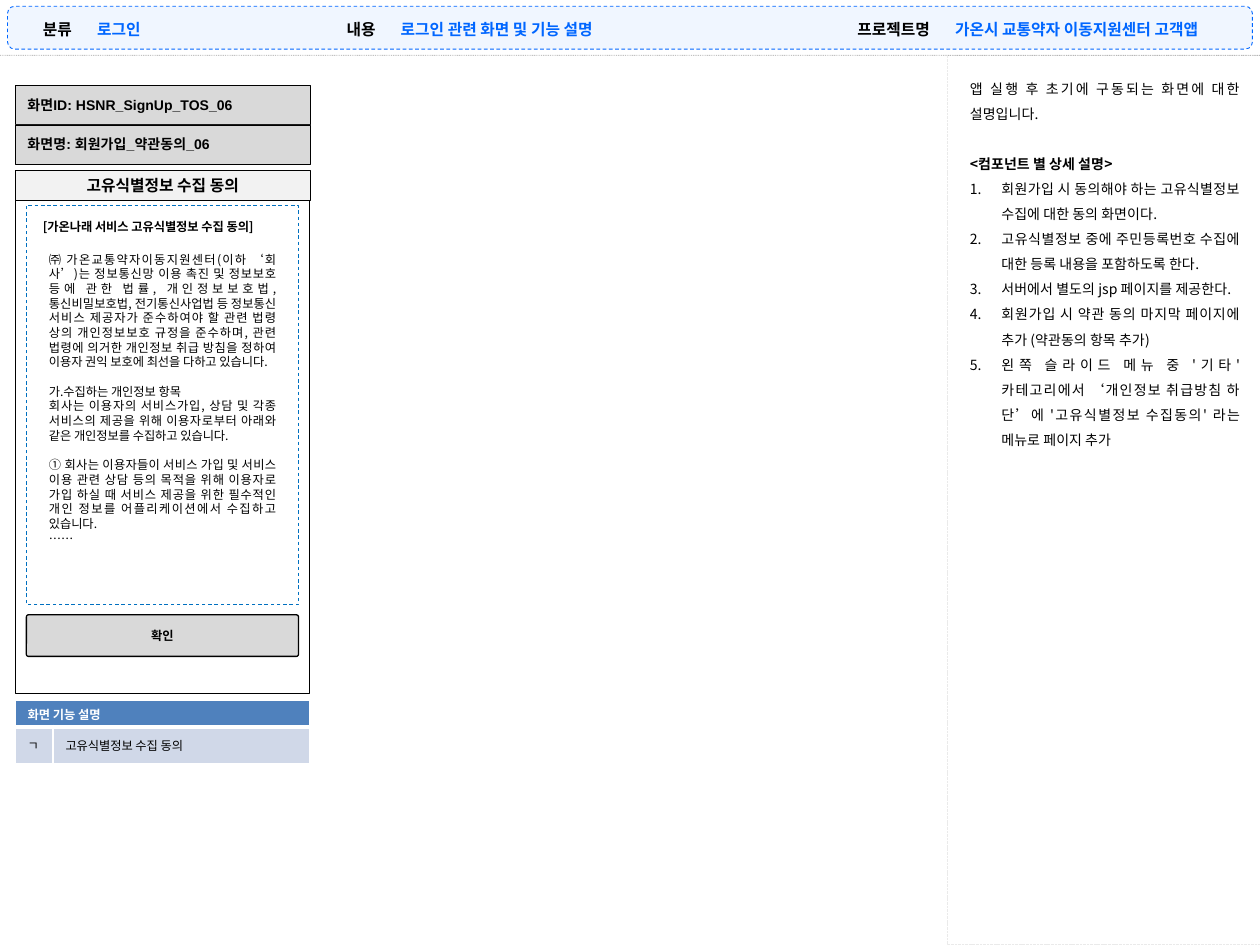
from dataclasses import dataclass

from lxml import etree
from pptx import Presentation
from pptx import util as u
from pptx.dml.color import RGBColor
from pptx.enum import dml, shapes, text
from pptx.oxml.ns import qn

Inches, Pt = u.Inches, u.Pt
LEFT, CENTER, RIGHT, JUSTIFY = (text.PP_ALIGN.LEFT, text.PP_ALIGN.CENTER,
                                text.PP_ALIGN.RIGHT, text.PP_ALIGN.JUSTIFY)
RECT, ROUND = shapes.MSO_SHAPE.RECTANGLE, shapes.MSO_SHAPE.ROUNDED_RECTANGLE
DASH, DOTS = dml.MSO_LINE.DASH, dml.MSO_LINE.SQUARE_DOT
FINE_DOTS = dml.MSO_LINE.ROUND_DOT
NO_STYLE = "{2D5ABB26-0587-4C30-8999-92F81FD0307C}"


@dataclass(frozen=True)
class Theme:
    font: str = "Noto Sans CJK KR"
    latin: str = "Arial"
    black: str = "000000"
    white: str = "FFFFFF"
    accent: str = "0066FF"
    rule: str = "808080"
    frame: str = "EAEAEA"
    panel: str = "D9D9D9"
    title_bar: str = "F2F2F2"
    terms: str = "0070C0"
    table_head: str = "4F81BD"
    table_body: str = "D0D8E8"
    heading: int = 9
    body: int = 8
    small: int = 7
    body_pitch: float = 14.35
    small_pitch: float = 8.4


THEME = Theme()
SUMMARY = [  # left, column widths, label, value
    (0.12, (0.55, 1.65), "분류", "로그인"),
    (2.43, (0.65, 3.57), "내용", "로그인 관련 화면 및 기능 설명"),
    (6.65, (0.83, 2.48), "프로젝트명", "가온시 교통약자 이동지원센터 고객앱"),
]
NOTES_INTRO = "앱 실행 후 초기에 구동되는 화면에 대한 설명입니다."
NOTES_HEADING = "<컴포넌트 별 상세 설명>"
NOTES = [
    "회원가입 시 동의해야 하는 고유식별정보 수집에 대한 동의 화면이다.",
    "고유식별정보 중에 주민등록번호 수집에 대한 등록 내용을 포함하도록 한다.",
    "서버에서 별도의 jsp 페이지를 제공한다.",
    "회원가입 시 약관 동의 마지막 페이지에 추가 (약관동의 항목 추가)",
    "왼쪽 슬라이드 메뉴 중 '기타' 카테고리에서 ‘개인정보 취급방침 하단’에 "
    "'고유식별정보 수집동의' 라는 메뉴로 페이지 추가",
]
TERMS = [
    "㈜ 가온교통약자이동지원센터(이하 ‘회사’)는 정보통신망 이용 촉진 및 정보보호 등에 관한 법률, "
    "개인정보보호법, 통신비밀보호법, 전기통신사업법 등 정보통신 서비스 제공자가 준수하여야 할 "
    "관련 법령 상의 개인정보보호 규정을 준수하며, 관련 법령에 의거한 개인정보 취급 방침을 정하여 "
    "이용자 권익 보호에 최선을 다하고 있습니다.",
    "가.수집하는 개인정보 항목",
    "회사는 이용자의 서비스가입, 상담 및 각종 서비스의 제공을 위해 이용자로부터 아래와 같은 "
    "개인정보를 수집하고 있습니다.",
    "① 회사는 이용자들이 서비스 가입 및 서비스 이용 관련 상담 등의 목적을 위해 이용자로 가입 하실 때 "
    "서비스 제공을 위한 필수적인 개인 정보를 어플리케이션에서 수집하고 있습니다.",
    "……",
]
TERMS_GAPS = (1, 3)  # paragraphs that open a new section


def color(value):
    return RGBColor.from_string(value)


def style(para, size, ink=THEME.black, bold=False, align=LEFT, font=THEME.font):
    para.alignment = align
    for span in para.runs:
        span.font.size, span.font.bold, span.font.name = Pt(size), bold, font
        span.font.color.rgb = color(ink)
        east = etree.SubElement(span.font._element, qn("a:ea"))
        east.set("typeface", THEME.font)


def add_panel(page, kind, at, fill=None, line=THEME.black, width=0.25, dash=None,
              label="", **label_style):
    panel = page.shapes.add_shape(kind, *map(Inches, at))
    panel.shadow.inherit = False
    if fill:
        panel.fill.solid()
        panel.fill.fore_color.rgb = color(fill)
    else:
        panel.fill.background()
    panel.line.color.rgb = color(line)
    panel.line.width = Pt(width)
    if dash:
        panel.line.dash_style = dash
    if label:
        frame = panel.text_frame
        frame.word_wrap = True
        frame.vertical_anchor = text.MSO_ANCHOR.MIDDLE
        frame.text = label
        style(frame.paragraphs[0], bold=True, **label_style)
    return panel


def set_alpha(element, percent):
    for fill_color in element.iter(qn("a:srgbClr")):
        etree.SubElement(fill_color, qn("a:alpha")).set("val", str(percent * 1000))


def add_text(page, at, lines, pitch=None):
    box = page.shapes.add_textbox(*map(Inches, at))
    frame = box.text_frame
    frame.word_wrap = True
    frame.text = "\n".join(lines)
    for para in frame.paragraphs:
        if pitch:
            para.line_spacing = Pt(pitch)
    return frame


def number(para):
    props = para._p.get_or_add_pPr()
    props.set("marL", str(Inches(0.25)))
    props.set("indent", str(-Inches(0.25)))
    etree.SubElement(props, qn("a:buFont")).set("typeface", "+mj-lt")
    etree.SubElement(props, qn("a:buAutoNum")).set("type", "arabicPeriod")


def add_table(page, left, top, widths, heights):
    table = page.shapes.add_table(
        len(heights), len(widths), Inches(left), Inches(top),
        Inches(sum(widths)), Inches(sum(heights))).table
    table.first_row = table.horz_banding = False
    table._tbl.tblPr.find(qn("a:tableStyleId")).text = NO_STYLE
    for column, width in zip(table.columns, widths):
        column.width = Inches(width)
    for row, height in zip(table.rows, heights):
        row.height = Inches(height)
    return table


def fill_cell(cell, content, fill=None, **text_style):
    cell.text_frame.text = content
    style(cell.text_frame.paragraphs[0], **text_style)
    if fill:
        cell.fill.solid()
        cell.fill.fore_color.rgb = color(fill)
    else:
        cell.fill.background()


def add_borders(cell, bottom):
    props = cell._tc.get_or_add_tcPr()
    widths = {"lnL": 1, "lnR": 1, "lnT": 1, "lnB": bottom}
    for position, (side, width) in enumerate(widths.items()):
        edge = etree.Element(qn("a:" + side), w=str(Pt(width)))
        paint = etree.SubElement(edge, qn("a:solidFill"))
        etree.SubElement(paint, qn("a:srgbClr")).set("val", THEME.white)
        props.insert(position, edge)


def add_header(page):
    bar = add_panel(page, ROUND, (0.06, 0.05, 9.88, 0.34), THEME.accent,
                    THEME.accent, 0.5, DASH)
    set_alpha(bar._element.spPr.find(qn("a:solidFill")), 6)
    rule = page.shapes.add_connector(shapes.MSO_CONNECTOR.STRAIGHT, 0, Inches(0.44),
                                     Inches(10), Inches(0.44))
    rule.line.color.rgb = color(THEME.rule)
    rule.line.width = Pt(0.5)
    rule.line.dash_style = FINE_DOTS
    set_alpha(rule.line._ln, 48)
    etree.SubElement(rule._element.spPr, qn("a:effectLst"))
    for left, widths, label, value in SUMMARY:
        table = add_table(page, left, 0.09, widths, (0.25,))
        fill_cell(table.cell(0, 0), label, size=THEME.heading, bold=True, align=RIGHT)
        fill_cell(table.cell(0, 1), value, size=THEME.heading, bold=True, ink=THEME.accent)


def add_notes(page):
    add_panel(page, RECT, (7.52, 0.44, 2.48, 7.06), line=THEME.frame, width=0.5, dash=DOTS)
    frame = add_text(page, (7.6, 0.52, 2.34, 3.53),
                     [NOTES_INTRO, NOTES_HEADING, *NOTES], THEME.body_pitch)
    for index, para in enumerate(frame.paragraphs):
        if index == 1:
            para.space_before = Pt(THEME.body_pitch)
        if index > 1:
            number(para)
        style(para, THEME.body, bold=index == 1, align=JUSTIFY)


def add_phone_screen(page):
    # Screen identification
    for row, label in enumerate(("화면ID: HSNR_SignUp_TOS_06", "화면명: 회원가입_약관동의_06")):
        add_panel(page, RECT, (0.12, 0.68 + row * 0.31, 2.34, 0.31), THEME.panel,
                  label=label, size=THEME.body, font=THEME.latin)
    # Screen outline and title
    add_panel(page, RECT, (0.12, 1.35, 2.34, 4.15), width=0.5)
    add_panel(page, RECT, (0.12, 1.35, 2.34, 0.24), THEME.title_bar,
              label="고유식별정보 수집 동의", size=THEME.heading, align=CENTER)
    # Terms of consent
    frame = add_text(page, (0.29, 1.95, 2, 2.75), TERMS, THEME.small_pitch)
    for index, para in enumerate(frame.paragraphs):
        if index in TERMS_GAPS:
            para.space_before = Pt(THEME.small_pitch)
        style(para, THEME.small, align=JUSTIFY if index < len(TERMS) - 1 else LEFT)
    heading = add_text(page, (0.22, 1.64, 2.13, 0.31), ["[가온나래 서비스 고유식별정보 수집 동의]"])
    heading.vertical_anchor = text.MSO_ANCHOR.MIDDLE
    heading.margin_left = Inches(0.12)
    style(heading.paragraphs[0], THEME.small, bold=True)
    add_panel(page, RECT, (0.21, 1.63, 2.16, 3.17), line=THEME.terms, width=0.5, dash=DASH)
    # Confirm button
    button = add_panel(page, ROUND, (0.21, 4.88, 2.16, 0.33), THEME.panel, width=0.75,
                       label="확인", size=THEME.small, align=CENTER)
    button.adjustments[0] = 0.05


def add_function_table(page):
    table = add_table(page, 0.12, 5.56, (0.3, 2.04), (0.21, 0.29))
    head = table.cell(0, 0)
    head.merge(table.cell(0, 1))
    fill_cell(head, "화면 기능 설명", THEME.table_head, size=THEME.small,
              ink=THEME.white, bold=True, font=THEME.latin)
    for column, content in enumerate(("ㄱ", "고유식별정보 수집 동의")):
        fill_cell(table.cell(1, column), content, THEME.table_body,
                  size=THEME.small, font=THEME.latin)
    for row, bottom in enumerate((3, 1)):
        for cell in table.rows[row].cells:
            cell.vertical_anchor = text.MSO_ANCHOR.MIDDLE
            cell.margin_top = cell.margin_bottom = Inches(0.03)
            add_borders(cell, bottom)


def main():
    deck = Presentation()
    deck.slide_width, deck.slide_height = Inches(10), Inches(7.5)
    page = deck.slides.add_slide(deck.slide_layouts[6])
    add_notes(page)
    add_header(page)
    add_function_table(page)
    add_phone_screen(page)
    deck.save("out.pptx")


if __name__ == "__main__":
    main()
